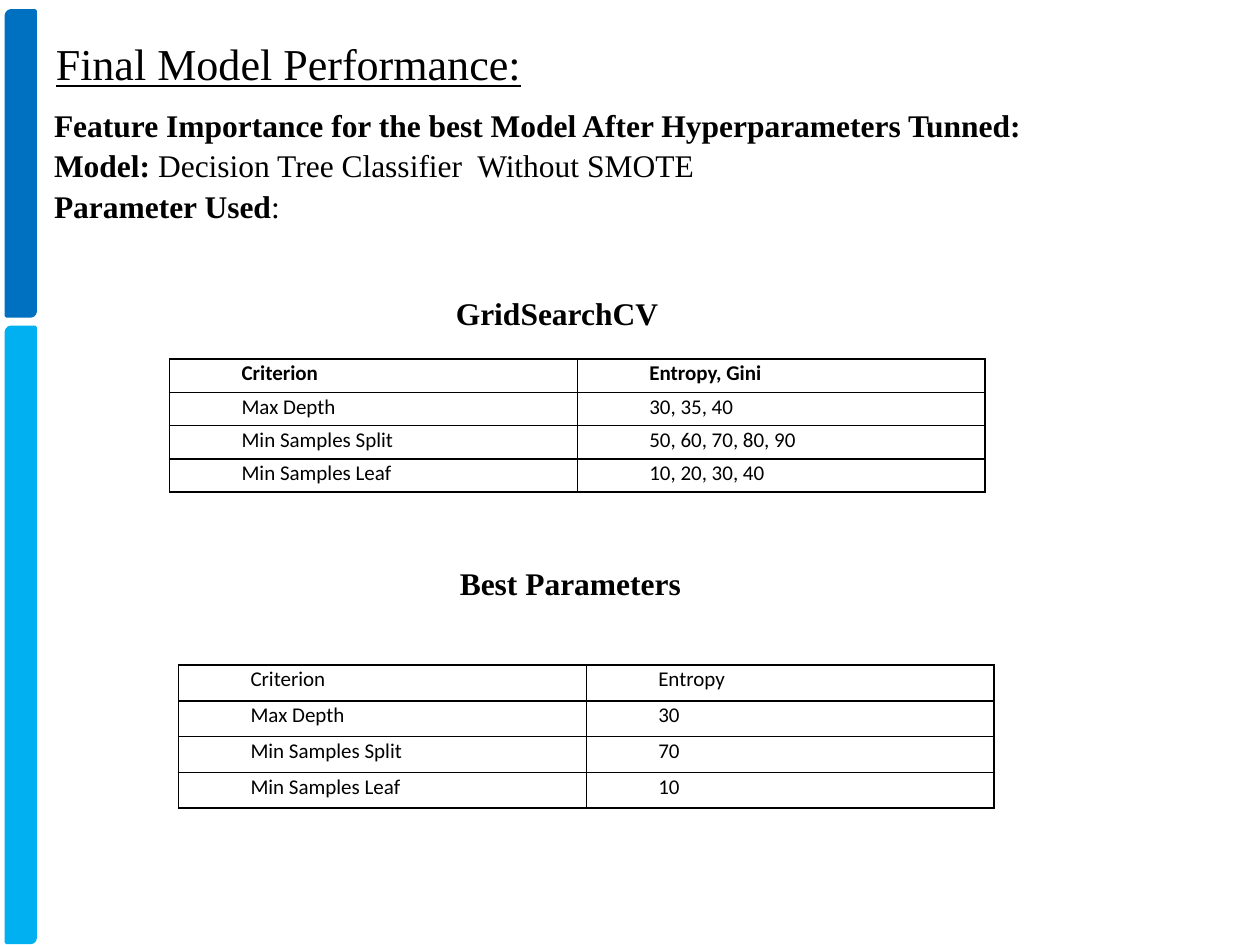
from lxml.etree import SubElement
from pptx import Presentation
from pptx.dml.color import RGBColor
from pptx.enum.shapes import MSO_SHAPE
from pptx.enum.text import MSO_ANCHOR, PP_ALIGN
from pptx.oxml.ns import qn
from pptx.util import Cm, Pt

INK = {"text": "000000", "dark": "0070C0", "light": "00B0F0"}
SERIF, SANS = "Times New Roman", "Calibri"
STEP = 1.27


class Deck:
    """Hold the style and the current slide."""

    def __init__(self, wide, high):
        """Start a deck with one blank slide."""
        self.prs = Presentation()
        self.prs.slide_width, self.prs.slide_height = Cm(wide), Cm(high)
        self.slide = self.prs.slides.add_slide(self.prs.slide_layouts[6])

    def color(self, name):
        """Look up a colour by name."""
        return RGBColor.from_string(INK[name])

    def style(self, run, size, font=SERIF, bold=False, under=False):
        """Format one run."""
        run.font.size, run.font.name = Pt(size), font
        run.font.bold, run.font.underline = bold, under
        run.font.color.rgb = self.color("text")

    def indent(self, para, left=STEP, first=0):
        """Set the line spacing and the indents of a paragraph."""
        para.line_spacing = 1.07
        props = para._p.get_or_add_pPr()
        props.set("marL", str(Cm(left)))
        props.set("indent", str(Cm(first)))

    def bar(self, top, high, tone):
        """Draw one side bar."""
        bar = self.slide.shapes.add_shape(
            MSO_SHAPE.ROUND_2_DIAG_RECTANGLE, Cm(0.13), Cm(top), Cm(0.58), Cm(high))
        bar.shadow.inherit = False
        bar.fill.solid()
        bar.fill.fore_color.rgb = bar.line.color.rgb = self.color(tone)
        bar.line.width = Pt(2)

    def text(self, box, lines, size=18, align=PP_ALIGN.LEFT, under=False,
             anchor=MSO_ANCHOR.TOP, left=None, first=0):
        """Add a text box; each line is a list of (words, bold) pairs."""
        frame = self.slide.shapes.add_textbox(*map(Cm, box)).text_frame
        frame.word_wrap, frame.vertical_anchor = True, anchor
        for row, parts in enumerate(lines):
            para = frame.add_paragraph() if row else frame.paragraphs[0]
            para.alignment = align
            if left is not None:
                self.indent(para, left, first)
            for words, bold in parts:
                run = para.add_run()
                run.text = words
                self.style(run, size, bold=bold, under=under)

    def border(self, cell):
        """Draw the four edges of a cell."""
        props = cell._tc.get_or_add_tcPr()
        for side in ("lnL", "lnR", "lnT", "lnB"):
            edge = SubElement(props, qn("a:" + side), w=str(Pt(1)))
            fill = SubElement(edge, qn("a:solidFill"))
            SubElement(fill, qn("a:srgbClr"), val=INK["text"])

    def table(self, left, top, high, rows, head=False):
        """Add a two-column table, with a bold first row if head is set."""
        grid = self.slide.shapes.add_table(
            len(rows), 2, Cm(left), Cm(top), Cm(16.44), Cm(high * len(rows))).table
        grid.first_row = grid.horz_banding = False
        for r, row in enumerate(rows):
            grid.rows[r].height = Cm(high)
            for c, words in enumerate(row):
                cell = grid.cell(r, c)
                cell.margin_left = cell.margin_right = Cm(0.18)
                cell.margin_top = cell.margin_bottom = 0
                para = cell.text_frame.paragraphs[0]
                para.text = words
                self.indent(para)
                self.style(para.runs[0], 12, SANS, bold=head and r == 0)
                self.border(cell)
                cell.fill.background()


deck = Deck(25.4, 19.05)
deck.bar(0.22, 6.15, "dark")
deck.bar(6.6, 12.4, "light")
deck.text((0, 0.64, 11.63, 1.27), [[("Final Model Performance:", False)]],
          size=25.2, align=PP_ALIGN.CENTER, under=True, anchor=MSO_ANCHOR.MIDDLE)
deck.text((-0.43, 1.96, 21.59, 2.69), [
    [("Feature Importance for the best Model After Hyperparameters Tunned:", True)],
    [("Model: ", True), ("Decision Tree Classifier  Without SMOTE", False)],
    [("Parameter Used", True), (":", False)],
], left=STEP)
deck.text((6.15, 5.74, 7.62, 1.04), [[("GridSearchCV", True)]],
          align=PP_ALIGN.CENTER, left=STEP, first=STEP)
deck.text((9.02, 11.25, 5.61, 1.8), [[("Best Parameters", True)]])

names = ("Criterion", "Max Depth", "Min Samples Split", "Min Samples Leaf")
tried = ("Entropy, Gini", "30, 35, 40", "50, 60, 70, 80, 90", "10, 20, 30, 40")
best = ("Entropy", "30", "70", "10")
deck.table(3.42, 7.24, 0.67, list(zip(names, tried)), head=True)
deck.table(3.6, 13.41, 0.72, list(zip(names, best)))
deck.prs.save("out.pptx")
